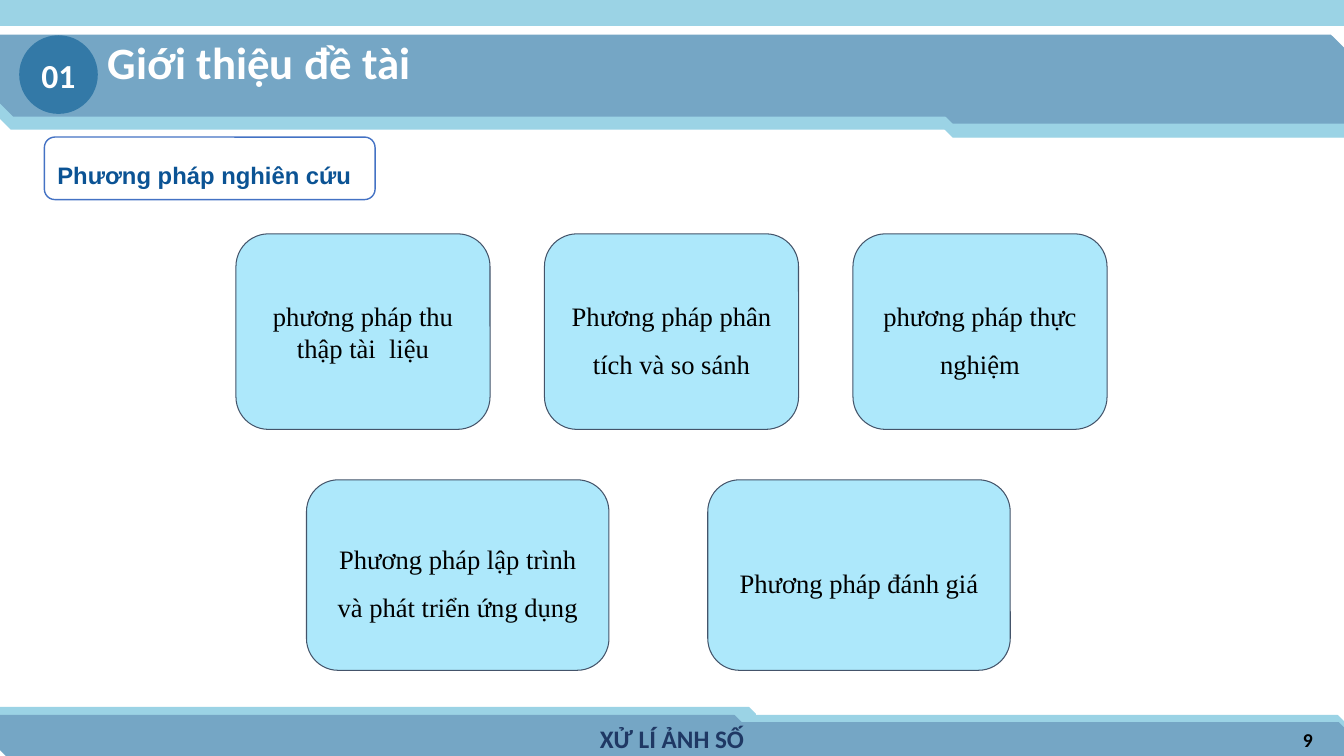
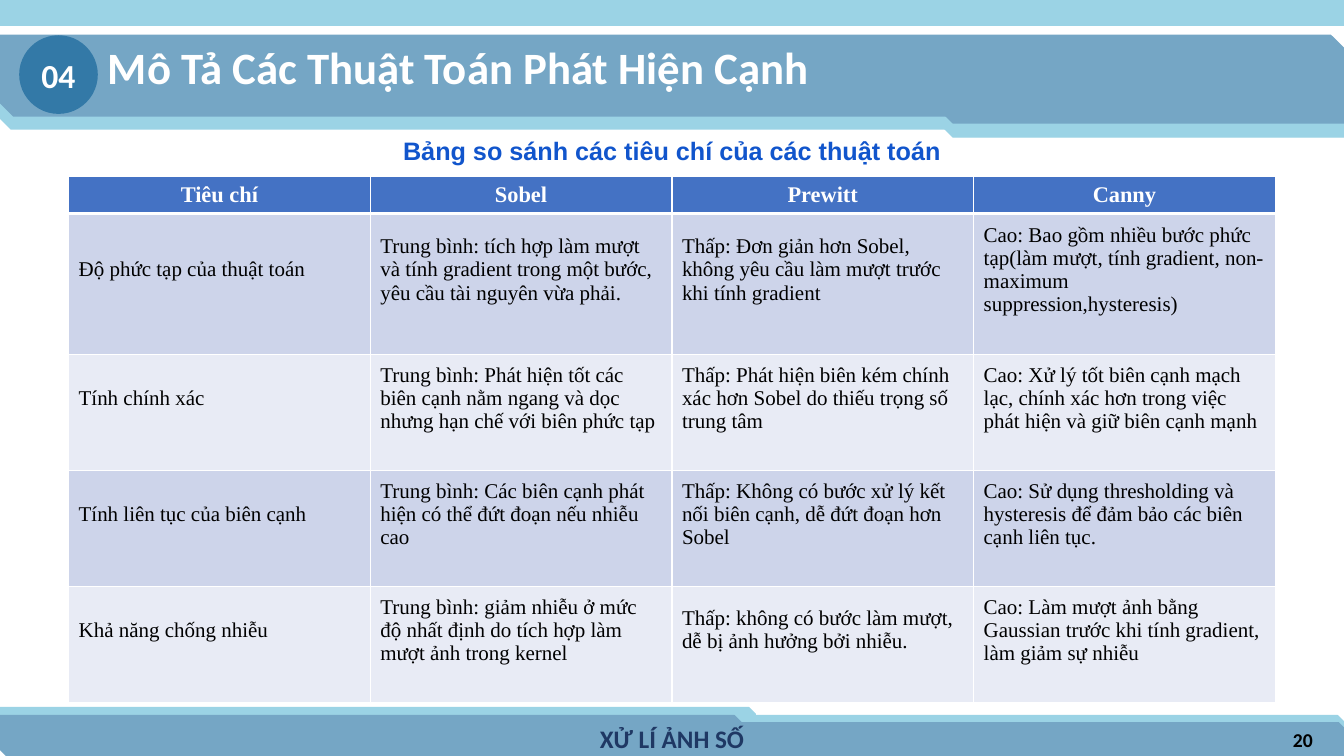
from lxml import etree
from pptx import Presentation
from pptx.dml.color import RGBColor
from pptx.enum.shapes import MSO_SHAPE
from pptx.enum.text import MSO_ANCHOR, PP_ALIGN
from pptx.oxml.ns import qn
from pptx.util import Inches, Pt

LEFT, CENTER, RIGHT, JUSTIFY = PP_ALIGN.LEFT, PP_ALIGN.CENTER, PP_ALIGN.RIGHT, PP_ALIGN.JUSTIFY
TOP, MIDDLE = MSO_ANCHOR.TOP, MSO_ANCHOR.MIDDLE
RECTANGLE, SNIPPED = MSO_SHAPE.RECTANGLE, MSO_SHAPE.SNIP_2_DIAG_RECTANGLE
ROUNDED, OVAL = MSO_SHAPE.ROUNDED_RECTANGLE, MSO_SHAPE.OVAL

COLORS = {
    "light band": "9BD3E5", "dark band": "75A6C5", "badge": "3379A7",
    "footer": "1F3864", "white": "FFFFFF", "black": "000000",
    "heading": "0B5394", "caption": "1155CC", "accent": "4472C4",
    "method": "ADE8FB", "method line": "44546A",
    "odd row": "CDD4EA", "even row": "E8EBF5",
}

FORMATS = {
    "title": {"name": "Calibri", "size": Pt(32), "bold": True, "color": "white"},
    "badge": {"name": "Calibri", "size": Pt(24), "bold": True, "color": "white"},
    "footer": {"name": "Calibri", "size": Pt(18), "bold": True, "color": "footer"},
    "number": {"name": "Calibri", "size": Pt(14), "bold": True, "color": "black"},
    "heading": {"name": "Arial", "size": Pt(17), "bold": True, "color": "heading"},
    "caption": {"name": "Arial", "size": Pt(18), "bold": True, "color": "caption"},
    "method": {"name": "Times New Roman", "size": Pt(19), "bold": False, "color": "black"},
    "table head": {"name": "Times New Roman", "size": Pt(16), "bold": True, "color": "white"},
    "table body": {"name": "Times New Roman", "size": Pt(15), "bold": False, "color": "black"},
}


def write(frame, text, style, align, anchor=MIDDLE, margin=0.1, spacing=1.0):
    frame.word_wrap = True
    frame.vertical_anchor = anchor
    frame.margin_left = frame.margin_right = Inches(0.1)
    frame.margin_top = frame.margin_bottom = Inches(margin)
    frame.text = text
    paragraph = frame.paragraphs[0]
    paragraph.alignment = align
    paragraph.line_spacing = spacing
    font = paragraph.runs[0].font
    for name, value in FORMATS[style].items():
        if name == "color":
            font.color.rgb = RGBColor.from_string(COLORS[value])
        else:
            setattr(font, name, value)


def add_box(slide, kind, box, fill, line=None, width=1):
    shape = slide.shapes.add_shape(kind, *map(Inches, box))
    shape.shadow.inherit = False
    shape.fill.solid()
    shape.fill.fore_color.rgb = RGBColor.from_string(COLORS[fill])
    if line:
        shape.line.color.rgb = RGBColor.from_string(COLORS[line])
        shape.line.width = Pt(width)
    else:
        shape.line.fill.background()
    return shape


presentation = Presentation()
presentation.slide_width, presentation.slide_height = Inches(13.33), Inches(7.5)
layout = presentation.slide_layouts[5]

PAGES = [
    ("01", "Giới thiệu đề tài", "9", (0.97, 0.24, 6.13, 0.78)),
    ("04", "Mô Tả Các Thuật Toán Phát Hiện Cạnh", "20", (0.97, 0.29, 7.59, 0.78)),
]
slides = []
for section, title_text, number, title_box in PAGES:
    slide = presentation.slides.add_slide(layout)
    title = slide.shapes.title
    title.left, title.top, title.width, title.height = map(Inches, title_box)
    write(title.text_frame, title_text, "title", LEFT, TOP)
    badge = add_box(slide, OVAL, (0.19, 0.35, 0.78, 0.78), "badge")
    write(badge.text_frame, section, "badge", CENTER)
    number_box = slide.shapes.add_textbox(*map(Inches, (10.12, 7.14, 3, 0.4)))
    write(number_box.text_frame, number, "number", RIGHT, margin=0.05)
    slides.append(slide)
methods_slide, comparison_slide = slides

BANDS = [
    (SNIPPED, (5.62, 7.1, 7.71, 0.38), "light band", 1),
    (SNIPPED, (0, 7.02, 7.49, 0.38), "light band", 1),
    (SNIPPED, (6.23, 7.17, 7.1, 0.33), "dark band", 1),
    (SNIPPED, (0, 7.1, 7.35, 0.4), "dark band", 1),
    (SNIPPED, (9.32, 0.58, 4.01, 0.78), "light band", 0.75),
    (SNIPPED, (0, 0.62, 13.33, 0.66), "light band", 1),
    (SNIPPED, (0, 0.35, 13.33, 0.8), "dark band", 1),
    (RECTANGLE, (0, 0, 13.33, 0.25), "light band", 1),
    (SNIPPED, (9.32, 0.44, 4.01, 0.78), "dark band", 0.75),
]
shared = [add_box(methods_slide, kind, box, color, color, width)
          for kind, box, color, width in BANDS]
footer = methods_slide.shapes.add_textbox(*map(Inches, (4.92, 7.13, 3.49, 0.4)))
write(footer.text_frame, "XỬ LÍ ẢNH SỐ", "footer", CENTER, margin=0.05)
shared.append(footer)
for index, shape in enumerate(shared):
    shape.element.xpath("./p:nvSpPr/p:cNvPr")[0].set("id", str(100 + index))
    layout.shapes.element.insert(2 + index, shape.element)

heading = add_box(methods_slide, ROUNDED, (0.44, 1.36, 3.28, 0.62), "white", "accent")
write(heading.text_frame, "Phương pháp nghiên cứu", "heading", JUSTIFY, margin=0.05, spacing=1.5)

METHOD_ROWS = [
    (2.34, 2.32, 2.52, 1.94, 3.06, [
        ("phương pháp thu thập tài  liệu", 1.0),
        ("Phương pháp phân tích và so sánh", 1.5),
        ("phương pháp thực nghiệm", 1.5),
    ]),
    (3.04, 4.76, 3, 1.89, 3.98, [
        ("Phương pháp lập trình và phát triển ứng dụng", 1.5),
        ("Phương pháp đánh giá", 1.5),
    ]),
]
for left, top, width, height, step, methods in METHOD_ROWS:
    for column, (text, spacing) in enumerate(methods):
        box = (left + column * step, top, width, height)
        method = add_box(methods_slide, ROUNDED, box, "method", "method line", 0.75)
        write(method.text_frame, text, "method", CENTER, spacing=spacing)

caption = comparison_slide.shapes.add_textbox(*map(Inches, (1.36, 1.24, 10.61, 0.5)))
write(caption.text_frame, "Bảng so sánh các tiêu chí của các thuật toán", "caption", CENTER, TOP)

COMPARISON = [
    ("Tiêu chí", "Sobel", "Prewitt", "Canny"),
    ("Độ phức tạp của thuật toán",
     "Trung bình: tích hợp làm mượt và tính gradient trong một bước, yêu cầu tài nguyên vừa phải.",
     "Thấp: Đơn giản hơn Sobel, không yêu cầu làm mượt trước khi tính gradient",
     "Cao: Bao gồm nhiều bước phức tạp(làm mượt, tính gradient, non-maximum suppression,hysteresis)"),
    ("Tính chính xác",
     "Trung bình: Phát hiện tốt các biên cạnh nằm ngang và dọc nhưng hạn chế với biên phức tạp",
     "Thấp: Phát hiện biên kém chính xác hơn Sobel do thiếu trọng số trung tâm",
     "Cao: Xử lý tốt biên cạnh mạch lạc, chính xác hơn trong việc phát hiện và giữ biên cạnh mạnh"),
    ("Tính liên tục của biên cạnh",
     "Trung bình: Các biên cạnh phát hiện có thể đứt đoạn nếu nhiễu cao",
     "Thấp: Không có bước xử lý kết nối biên cạnh, dễ đứt đoạn hơn Sobel",
     "Cao: Sử dụng thresholding và hysteresis để đảm bảo các biên cạnh liên tục."),
    ("Khả năng chống nhiễu",
     "Trung bình: giảm nhiễu ở mức độ nhất định do tích hợp làm mượt ảnh trong kernel",
     "Thấp: không có bước làm mượt, dễ bị ảnh hưởng bởi nhiễu.",
     "Cao: Làm mượt ảnh bằng Gaussian trước khi tính gradient, làm giảm sự nhiễu"),
]
ROW_HEIGHTS = [0.36, 1.4, 1.15, 1.15, 1.15]
table = comparison_slide.shapes.add_table(
    len(COMPARISON), 4, *map(Inches, (0.68, 1.75, 11.97, sum(ROW_HEIGHTS)))).table
for column in table.columns:
    column.width = Inches(11.97 / 4)
for row_index, (texts, height) in enumerate(zip(COMPARISON, ROW_HEIGHTS)):
    table.rows[row_index].height = Inches(height)
    is_head = row_index == 0
    fill = "accent" if is_head else ("even row", "odd row")[row_index % 2]
    for column_index, text in enumerate(texts):
        cell = table.cell(row_index, column_index)
        write(cell.text_frame, text, "table head" if is_head else "table body",
              CENTER if is_head else LEFT)
        cell.vertical_anchor = MIDDLE
        cell.margin_left = cell.margin_right = Inches(0.1)
        cell.margin_top = Inches(0.05)
        cell.margin_bottom = Inches(0.05 if is_head else 0.33)
        properties = cell._tc.get_or_add_tcPr()
        for side in ("lnL", "lnR", "lnT", "lnB"):
            thick = (is_head and side == "lnB") or (row_index == 1 and side == "lnT")
            border = etree.SubElement(properties, qn("a:" + side), w=str(Pt(3 if thick else 1)))
            solid = etree.SubElement(border, qn("a:solidFill"))
            etree.SubElement(solid, qn("a:srgbClr"), val=COLORS["white"])
        cell.fill.solid()
        cell.fill.fore_color.rgb = RGBColor.from_string(COLORS[fill])

presentation.save("out.pptx")
